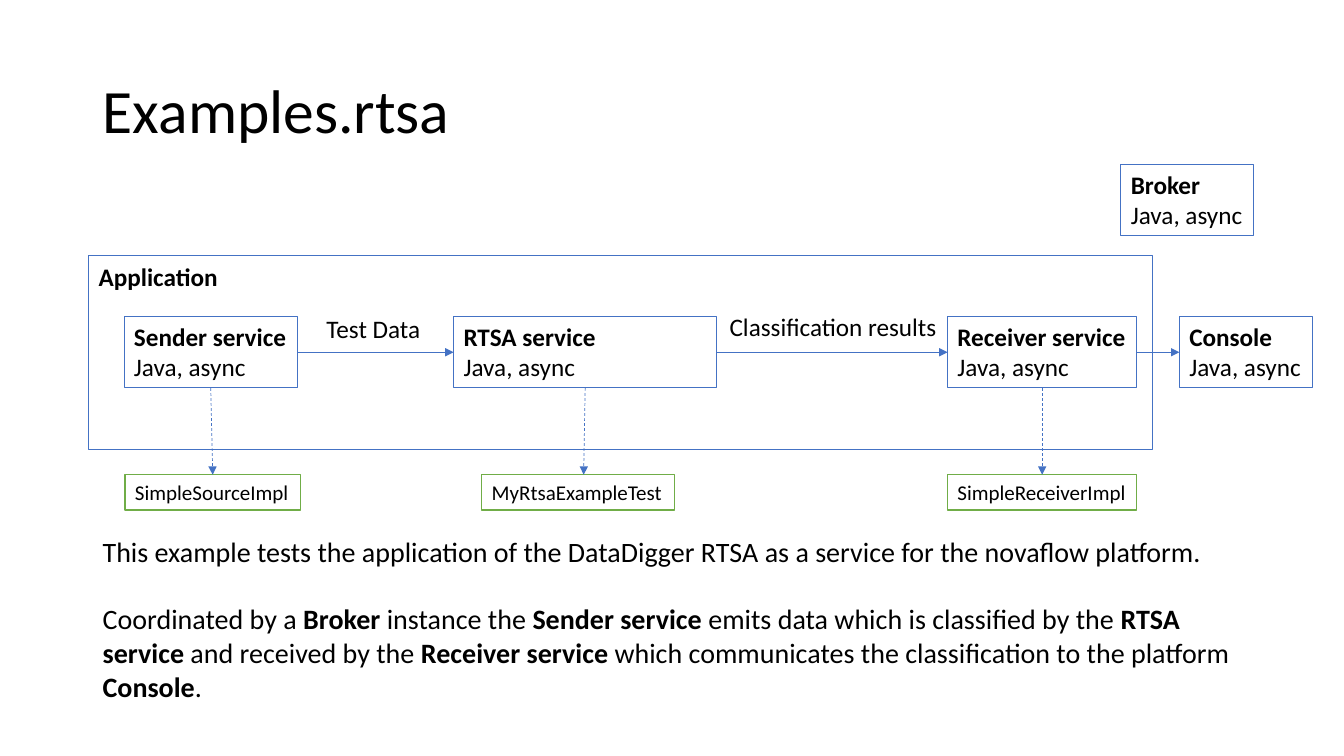
from pptx import Presentation
from pptx.dml.color import RGBColor
from pptx.enum.dml import MSO_LINE
from pptx.enum.shapes import MSO_CONNECTOR, MSO_SHAPE
from pptx.enum.text import MSO_ANCHOR, MSO_AUTO_SIZE, PP_ALIGN
from pptx.oxml.ns import qn
from pptx.util import Inches, Pt
from lxml.etree import SubElement

W, H = Inches(13.333), Inches(7.5)
COL, ROW = W / 100, H / 100  # grid of 100 columns by 100 rows
BLUE, GREEN, BLACK = "4472C4", "70AD47", "000000"
RIGHT, LEFT, BOTTOM = 3, 1, 2  # connection sites of a rectangle


def color(value):
    return RGBColor.from_string(value)


def place(box, x, y, w, h):
    """Slide position of a part given in grid units relative to a box."""
    return (round((box[0] + x) * COL), round((box[1] + y) * ROW),
            round(w * COL), round(h * ROW))


def style(p, size, bold=None):
    p.alignment = PP_ALIGN.LEFT
    p.font.name, p.font.size, p.font.bold = "Calibri", Pt(size), bold
    p.font.color.rgb = color(BLACK)


def add_box(s, at, lines, line=BLUE, size=18, wrap=False):
    """Outlined box; each line is a (text, bold) pair."""
    sp = s.shapes.add_shape(MSO_SHAPE.RECTANGLE, *at)
    sp.shadow.inherit = False
    sp.fill.background()
    sp.line.color.rgb, sp.line.width = color(line), Pt(0.75)
    tf = sp.text_frame
    tf.word_wrap, tf.vertical_anchor = wrap, MSO_ANCHOR.TOP
    tf.text = "\n".join(text for text, _ in lines)
    for p, (_, bold) in zip(tf.paragraphs, lines):
        style(p, size, bold)
    return sp


def add_label(s, at, text):
    tf = s.shapes.add_textbox(*at).text_frame
    tf.word_wrap = True
    tf.text = text
    style(tf.paragraphs[0], 18)


def add_arrow(s, kind, start, site, end):
    """Arrow from a site of the start box to a point."""
    c = s.shapes.add_connector(kind, 0, 0, *end)
    c.begin_connect(start, site)
    c.line.color.rgb, c.line.width = color(BLUE), Pt(0.5)
    if kind == MSO_CONNECTOR.STRAIGHT:
        c.line.dash_style = MSO_LINE.DASH
    SubElement(c.line._get_or_add_ln(), qn("a:tailEnd"), type="triangle")
    SubElement(c._element.spPr, qn("a:effectLst"))
    return c


def add_title(s, box, text):
    title = s.shapes.title
    title.left, title.top, title.width, title.height = place(box, 0, 0, *box[2:])
    tf = title.text_frame
    tf.text = text
    tf.auto_size, tf.vertical_anchor = MSO_AUTO_SIZE.NONE, MSO_ANCHOR.MIDDLE
    style(tf.paragraphs[0], 44)
    tf.paragraphs[0].line_spacing = 0.9


def add_diagram(s, box):
    add_box(s, place(box, 0, 12.13, 79.13, 25.6), [("Application", True)], wrap=True)

    # Services: name, left, top, width
    services = {}
    for name, x, y, w in (("Sender service", 2.63, 20.13, 12.9),
                          ("RTSA service", 27.15, 20.13, 19.58),
                          ("Receiver service", 63.9, 20.13, 14.1),
                          ("Console", 81.15, 20.13, 9.9),
                          ("Broker", 76.8, 0, 9.9)):
        services[name] = add_box(s, place(box, x, y, w, 9.47),
                                 [(name, True), ("Java, async", False)],
                                 wrap=name == "RTSA service")

    # Data flow along the service row
    chain = list(services.values())[:4]
    for start, end in zip(chain, chain[1:]):
        c = add_arrow(s, MSO_CONNECTOR.ELBOW, start, RIGHT, (end.left, end.top))
        c.end_connect(end, LEFT)
    add_label(s, place(box, 16.95, 19.07, 8.85, 5.33), "Test Data")
    add_label(s, place(box, 46.95, 18.8, 16.95, 5.33), "Classification results")

    # Implementing classes: name, left, width, arrow position
    for start, name, x, w, tip in zip(chain,
                                      ("SimpleSourceImpl", "MyRtsaExampleTest", "SimpleReceiverImpl"),
                                      (2.7, 29.25, 63.9), (13.05, 14.33, 14.1),
                                      (9.23, 36.83, 70.95)):
        add_box(s, place(box, x, 41.07, w, 4.67), [(name, False)], GREEN, 15)
        add_arrow(s, MSO_CONNECTOR.STRAIGHT, start, BOTTOM,
                  place(box, tip, 41.07, 0, 0)[:2])


def add_description(s, box, paragraphs):
    """Paragraphs whose parts alternate between regular and bold."""
    tf = s.shapes.add_textbox(*place(box, 0, 0, *box[2:])).text_frame
    tf.word_wrap = True
    for i, parts in enumerate(paragraphs):
        p = tf.add_paragraph() if i else tf.paragraphs[0]
        style(p, 20)
        p.space_before = Pt(24.4 if i else 0)
        for j, text in enumerate(parts):
            r = p.add_run()
            r.text, r.font.bold = text, j % 2 == 1


def main():
    prs = Presentation()
    prs.slide_width, prs.slide_height = W, H
    s = prs.slides.add_slide(prs.slide_layouts[5])
    add_title(s, (6.9, 5.33, 86.25, 19.33), "Examples.rtsa")
    add_diagram(s, (6.6, 21.73, 91.05, 45.73))
    add_description(s, (6.9, 70, 86.7, 23.73), [
        ["This example tests the application of the DataDigger RTSA "
         "as a service for the novaflow platform."],
        ["Coordinated by a ", "Broker", " instance the ", "Sender service",
         " emits data which is classified by the ", "RTSA service",
         " and received by the ", "Receiver service",
         " which communicates the classification to the platform ", "Console", "."],
    ])
    prs.save("out.pptx")


if __name__ == "__main__":
    main()
